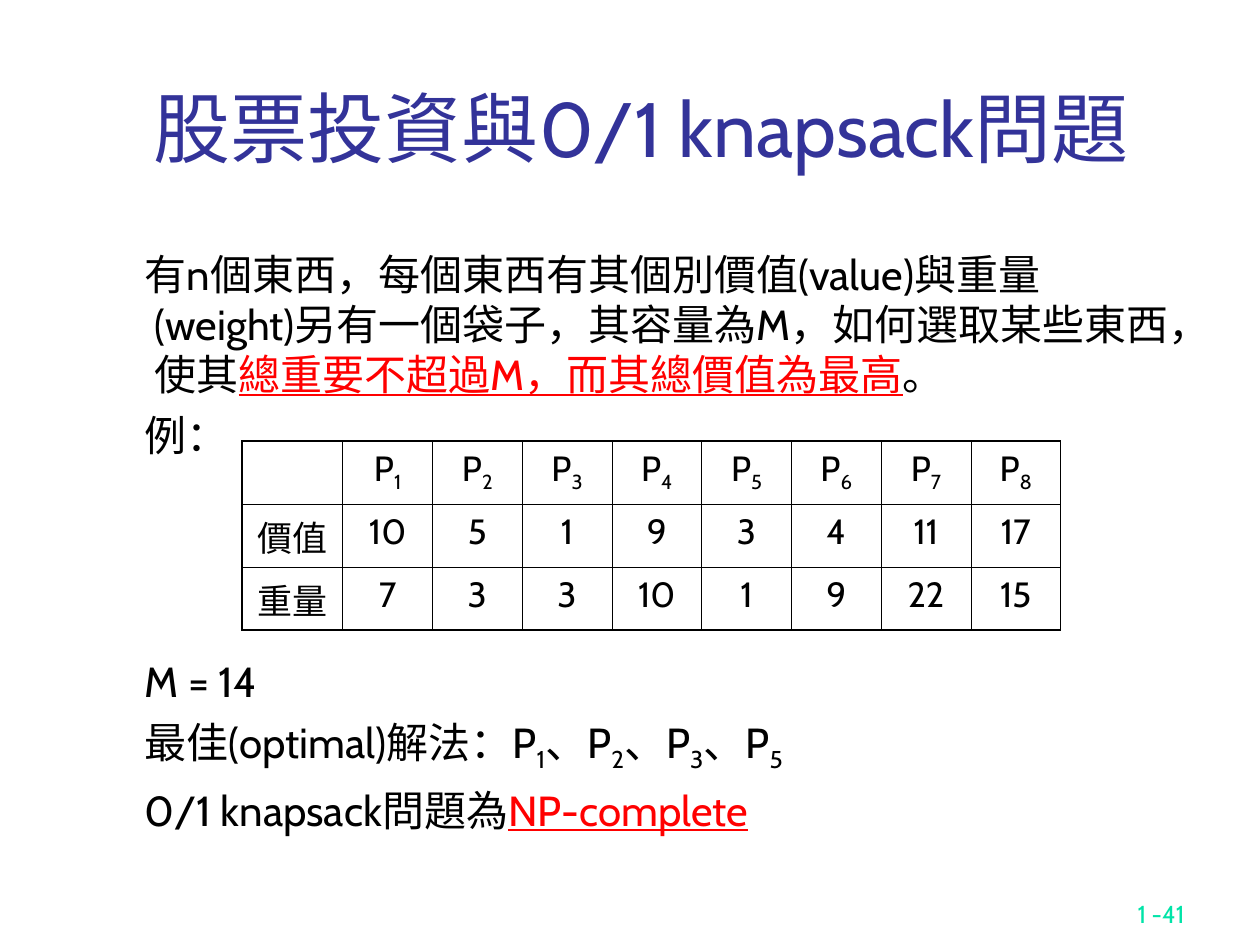
from dataclasses import dataclass

from lxml.etree import SubElement
from pptx import Presentation
from pptx.dml.color import RGBColor as RGB
from pptx.enum.text import MSO_ANCHOR as Anchor, PP_ALIGN as Align
from pptx.oxml.ns import qn
from pptx.util import Inches, Pt


@dataclass(frozen=True)
class Theme:
    font: str = "Cabin"
    ink: RGB = RGB(0x00, 0x00, 0x00)
    title: RGB = RGB(0x33, 0x33, 0x99)
    accent: RGB = RGB(0xFF, 0x00, 0x00)
    footer: RGB = RGB(0x00, 0xE4, 0xA8)
    title_size: int = 44
    body_size: int = 24
    table_size: int = 20
    footer_size: int = 14
    thin: float = 0.45
    thick: float = 1.08


@dataclass(frozen=True)
class Span:
    text: str
    color: RGB
    underline: bool = False
    subscript: bool = False


@dataclass(frozen=True)
class Line:
    spans: list[Span]
    space_before: float = 6


THEME = Theme()
ITEMS = range(1, 9)
VALUES = [10, 5, 1, 9, 3, 4, 11, 17]
WEIGHTS = [7, 3, 3, 10, 1, 9, 22, 15]
SOLUTION = [1, 2, 3, 5]
TABLE_GAP = 111.5


def plain(text: str) -> Span:
    return Span(text, THEME.ink)


def stressed(text: str) -> Span:
    return Span(text, THEME.accent, underline=True)


def item_name(number: int, lead: str = "") -> list[Span]:
    return [plain(f"{lead}P"), Span(str(number), THEME.ink, subscript=True)]


def add_spans(para, spans: list[Span], size: int, east_asian: bool = True) -> None:
    """Write the spans; east_asian applies the theme font to Chinese text too."""
    for span in spans:
        run = para.add_run()
        run.text = span.text
        font = run.font
        font.name, font.size = THEME.font, Pt(size)
        font.color.rgb = span.color
        if span.underline:
            font.underline = True
        properties = font._element
        if span.subscript:
            properties.set("baseline", "-25000")
        if east_asian:
            latin = properties.find(qn("a:latin"))
            typeface = properties.makeelement(qn("a:ea"), {"typeface": THEME.font})
            latin.addnext(typeface)


def add_box(page, left: float, top: float, width: float, height: float, anchor: Anchor):
    box = page.shapes.add_textbox(Inches(left), Inches(top), Inches(width), Inches(height))
    frame = box.text_frame
    frame.word_wrap = True
    frame.vertical_anchor = anchor
    return frame


def add_body(page, lines: list[Line]) -> None:
    frame = add_box(page, 0.75, 1.92, 8.67, 4.75, Anchor.TOP)
    for index, line in enumerate(lines):
        para = frame.add_paragraph() if index else frame.paragraphs[0]
        if index:
            para.space_before = Pt(line.space_before)
        indent = para._p.get_or_add_pPr()
        indent.set("marL", str(Inches(0.38)))
        indent.set("indent", str(Inches(-0.08)))
        add_spans(para, line.spans, THEME.body_size)


def set_borders(cell, widths: dict[str, float]) -> None:
    properties = cell._tc.get_or_add_tcPr()
    for side, width in widths.items():
        border = SubElement(properties, qn(f"a:ln{side}"), w=str(Pt(width)))
        fill = SubElement(border, qn("a:solidFill"))
        SubElement(fill, qn("a:srgbClr"), val=str(THEME.ink))


def add_item_table(page, rows: list[list[list[Span]]]) -> None:
    row_count, column_count = len(rows), len(rows[0])
    table = page.shapes.add_table(row_count, column_count, Inches(1.92), Inches(3.5),
                                  Inches(6.5), Inches(1.5)).table
    table.first_row = table.horz_banding = False
    for index, column in enumerate(table.columns):
        column.width = Inches(5.7 / 8 if index else 0.8)
    for row_index, row in enumerate(rows):
        table.rows[row_index].height = Inches(0.5)
        for column_index, spans in enumerate(row):
            cell = table.cell(row_index, column_index)
            outer = {"L": column_index == 0, "R": column_index == column_count - 1,
                     "T": row_index == 0, "B": row_index == row_count - 1}
            set_borders(cell, {side: THEME.thick if edge else THEME.thin
                               for side, edge in outer.items()})
            cell.fill.background()
            para = cell.text_frame.paragraphs[0]
            para.alignment = Align.CENTER
            add_spans(para, spans, THEME.table_size, east_asian=False)


def number_row(label: str, numbers: list[int]) -> list[list[Span]]:
    return [[plain(label)]] + [[plain(str(number))] for number in numbers]


def main() -> None:
    deck = Presentation()
    deck.slide_width, deck.slide_height = Inches(10), Inches(7.5)
    page = deck.slides.add_slide(deck.slide_layouts[6])

    title = add_box(page, 0.83, 0.42, 8.52, 1, Anchor.BOTTOM).paragraphs[0]
    title.alignment = Align.CENTER
    add_spans(title, [Span("股票投資與0/1 knapsack問題", THEME.title)], THEME.title_size)

    solution = [plain("最佳(optimal)解法：")]
    for index, number in enumerate(SOLUTION):
        solution += item_name(number, "、" if index else "")
    add_body(page, [
        Line([plain("有n個東西，每個東西有其個別價值(value)與重量(weight)"
                    "另有一個袋子，其容量為M，如何選取某些東西，使其"),
              stressed("總重要不超過M，而其總價值為最高"), plain("。")]),
        Line([plain("例：")]),
        Line([plain("M = 14")], space_before=TABLE_GAP),
        Line(solution),
        Line([plain("0/1 knapsack問題為"), stressed("NP-complete")]),
    ])

    add_item_table(page, [
        [[]] + [item_name(number) for number in ITEMS],
        number_row("價值", VALUES),
        number_row("重量", WEIGHTS),
    ])

    footer = add_box(page, 7.42, 6.92, 2.08, 0.5, Anchor.BOTTOM).paragraphs[0]
    footer.alignment = Align.RIGHT
    add_spans(footer, [Span("1 -41", THEME.footer)], THEME.footer_size)

    deck.save("out.pptx")


if __name__ == "__main__":
    main()
